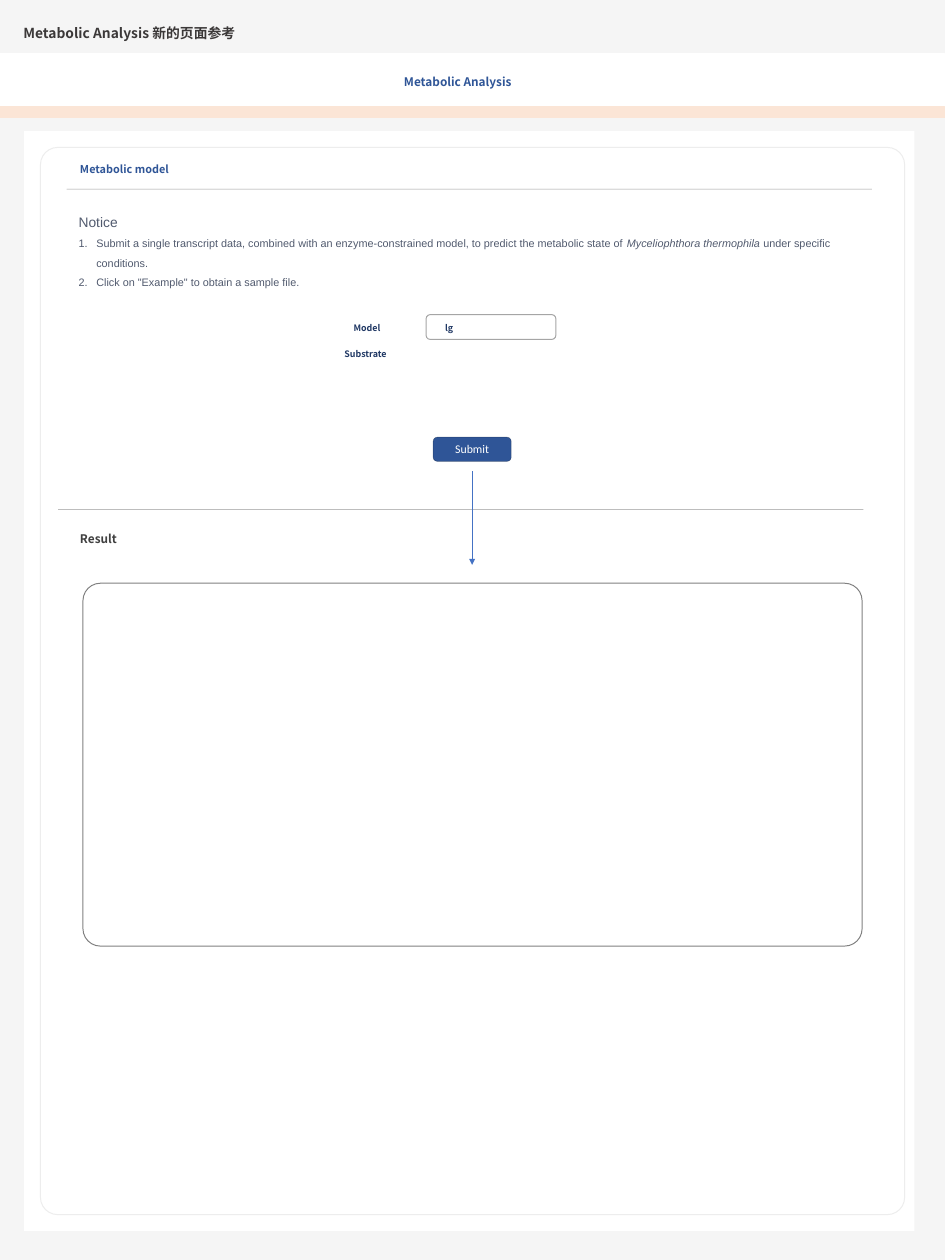
from pptx import Presentation
from pptx.dml.color import RGBColor
from pptx.enum.shapes import MSO_CONNECTOR, MSO_SHAPE
from pptx.enum.text import MSO_ANCHOR, MSO_AUTO_SIZE, PP_ALIGN
from pptx.oxml.ns import qn
from pptx.util import Inches, Pt
from lxml import etree

RECTANGLE = MSO_SHAPE.RECTANGLE
ROUNDED = MSO_SHAPE.ROUNDED_RECTANGLE
STRAIGHT = MSO_CONNECTOR.STRAIGHT
MIDDLE = MSO_ANCHOR.MIDDLE
GROW = MSO_AUTO_SIZE.SHAPE_TO_FIT_TEXT
CENTER = PP_ALIGN.CENTER

HEADING_FONT = "Noto Sans CJK SC"
BODY_FONT = "Arial"
BUTTON_FONT = "Calibri"
WHITE, GREY, PEACH = "FFFFFF", "F5F5F5", "FBE5D6"
BLUE, NAVY, SLATE = "2F5597", "203864", "515A6E"


def color(hex_string):
    return RGBColor.from_string(hex_string)


class PageMockup:
    """Draws on one slide; lengths are percentages of its width and height."""

    def __init__(self, presentation):
        self.column = presentation.slide_width / 100
        self.row = presentation.slide_height / 100
        self.slide = presentation.slides.add_slide(presentation.slide_layouts[6])
        self.shapes = self.slide.shapes
        background = self.slide.background.fill
        background.solid()
        background.fore_color.rgb = color(GREY)

    def place(self, left, top, width, height):
        return (round(left * self.column), round(top * self.row),
                round(width * self.column), round(height * self.row))

    def stroke(self, line, hex_string, width, opacity=100):
        line.width = Pt(width)
        line.color.rgb = color(hex_string)
        if opacity < 100:
            tint = line.fill._xPr.find(".//" + qn("a:srgbClr"))
            etree.SubElement(tint, qn("a:alpha"), val=str(opacity * 1000))

    def box(self, area, fill=None, line=None, kind=RECTANGLE, corner=None,
            width=1, opacity=100):
        shape = self.shapes.add_shape(kind, *self.place(*area))
        shape.shadow.inherit = False
        if corner is not None:
            shape.adjustments[0] = corner
        if fill:
            shape.fill.solid()
            shape.fill.fore_color.rgb = color(fill)
        else:
            shape.fill.background()
        if line:
            self.stroke(shape.line, line, width, opacity)
        else:
            shape.line.fill.background()
        return shape

    def line(self, start, end, hex_string="000000", opacity=40, arrow=False):
        connector = self.shapes.add_connector(
            STRAIGHT, *self.place(*start, *end))
        self.stroke(connector.line, hex_string, 0.5, opacity)
        properties = connector._element.spPr
        if arrow:
            outline = properties.find(qn("a:ln"))
            etree.SubElement(outline, qn("a:tailEnd"), type="triangle")
        etree.SubElement(properties, qn("a:effectLst"))

    def run(self, paragraph, text, size, hex_string, font, bold=False, italic=False):
        run = paragraph.add_run()
        run.text = text
        run.font.size = Pt(size)
        run.font.name = font
        run.font.bold = bold
        run.font.italic = italic
        run.font.color.rgb = color(hex_string)
        etree.SubElement(run._r.get_or_add_rPr(), qn("a:ea"), typeface=font)

    def text_frame(self, area):
        frame = self.shapes.add_textbox(*self.place(*area)).text_frame
        frame.word_wrap = True
        frame.auto_size = GROW
        return frame

    def heading(self, area, text, size, hex_string):
        paragraph = self.text_frame(area).paragraphs[0]
        self.run(paragraph, text, size, hex_string, HEADING_FONT, bold=True)

    def button(self, area, text):
        shape = self.box(area, BLUE, "1E3256", ROUNDED, width=0.5, opacity=60)
        shape.text_frame.vertical_anchor = MIDDLE
        paragraph = shape.text_frame.paragraphs[0]
        paragraph.alignment = CENTER
        self.run(paragraph, text, 12, WHITE, BUTTON_FONT)

    def notice(self, area, title, items):
        frame = self.text_frame(area)
        paragraph = frame.paragraphs[0]
        paragraph.line_spacing = 1.5
        self.run(paragraph, title, 14, SLATE, BODY_FONT)
        for item in items:
            paragraph = frame.add_paragraph()
            paragraph.line_spacing = 1.5
            properties = paragraph._p.get_or_add_pPr()
            properties.set("marL", str(Inches(0.25)))
            properties.set("indent", str(-Inches(0.25)))
            etree.SubElement(properties, qn("a:buFont"), typeface="+mj-lt")
            etree.SubElement(properties, qn("a:buAutoNum"), type="arabicPeriod")
            for text, italic in item:
                self.run(paragraph, text, 11, SLATE, BODY_FONT, italic=italic)


def main():
    presentation = Presentation()
    presentation.slide_width = Inches(13.33)
    presentation.slide_height = Inches(17.78)
    page = PageMockup(presentation)

    # Page panel, header band and content card
    page.box((2.55, 10.4, 94.22, 87.29), WHITE)
    page.box((0, 4.27, 100, 4.27), WHITE, WHITE)
    page.box((0, 8.49, 100, 0.84), PEACH, PEACH)
    page.box((4.28, 11.7, 91.45, 84.7), None, "EDEDED", ROUNDED, 0.02)

    # Section rules and headings
    page.line((7.05, 15.02), (92.27, 15.02))
    page.heading((7.73, 12.65, 18.53, 1.63), "Metabolic model", 11, BLUE)
    page.heading((1.73, 1.69, 76.14, 1.91), "Metabolic Analysis 新的页面参考", 14, "3B3838")
    page.heading((42.01, 5.68, 16.28, 1.69), "Metabolic Analysis", 12, BLUE)

    # Notice
    page.notice((7.58, 16.03, 84.77, 7.03), "Notice", [
        [("Submit a single transcript data, combined with an enzyme-constrained "
          "model, to predict the metabolic state of ", False),
         ("Myceliophthora thermophila", True),
         (" under specific conditions.", False)],
        [('Click on "Example" to obtain a sample file.', False)],
    ])

    # Submit button and the arrow to the result
    page.button((45.84, 34.7, 8.25, 1.91), "Submit")
    page.line((6.15, 40.44), (91.37, 40.44))
    page.line((49.96, 37.4), (49.96, 44.83), "4472C4", 100, arrow=True)

    # Result area
    page.heading((7.73, 41.96, 27.98, 1.69), "Result", 12, "404040")
    page.box((8.78, 46.29, 82.45, 28.8), WHITE, "808080", ROUNDED, 0.048)

    # Model form
    page.box((45.09, 24.97, 13.73, 1.97), WHITE, "A5A5A5", ROUNDED)
    for area, label in [((36.68, 25.31, 5.63, 1.41), "Model"),
                        ((46.36, 25.31, 6.15, 1.41), "lg"),
                        ((35.71, 27.39, 6.68, 1.41), "Substrate")]:
        page.heading(area, label, 9, NAVY)

    presentation.save("out.pptx")


if __name__ == "__main__":
    main()
